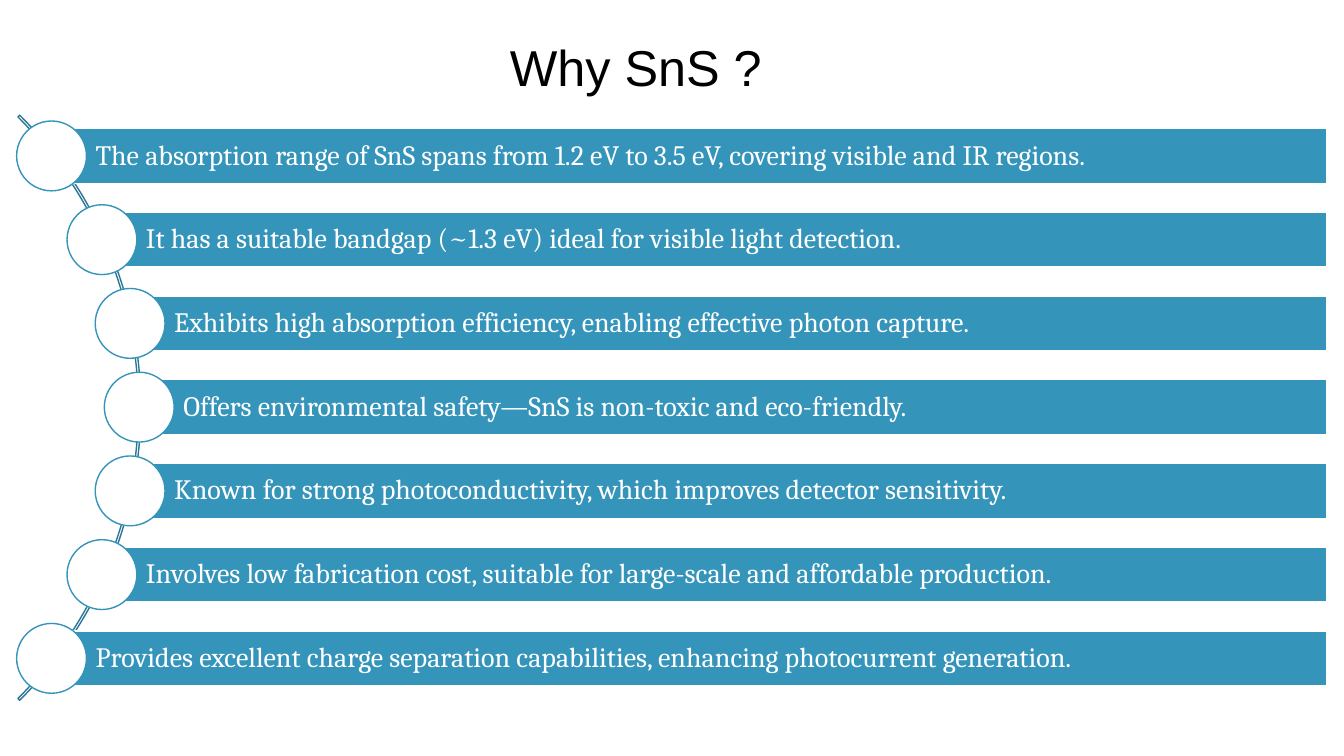
from pptx import Presentation
from pptx.dml.color import RGBColor
from pptx.enum.shapes import MSO_SHAPE
from pptx.enum.text import MSO_ANCHOR, PP_ALIGN
from pptx.util import Cm, Pt

ARC, BAR, CIRCLE = MSO_SHAPE.BLOCK_ARC, MSO_SHAPE.RECTANGLE, MSO_SHAPE.OVAL
LEFT, CENTER, MIDDLE = PP_ALIGN.LEFT, PP_ALIGN.CENTER, MSO_ANCHOR.MIDDLE

WHITE, BLUE, DARK_BLUE, BLACK = "FFFFFF", "3494BA", "2A7795", "000000"

# Bar left edge in cm, and the reason written on the bar
REASONS = [
    (1.3, "The absorption range of SnS spans from 1.2 eV to 3.5 eV, covering visible and IR regions."),
    (2.57, "It has a suitable bandgap (~1.3 eV) ideal for visible light detection."),
    (3.28, "Exhibits high absorption efficiency, enabling effective photon capture."),
    (3.51, "Offers environmental safety—SnS is non-toxic and eco-friendly."),
    (3.28, "Known for strong photoconductivity, which improves detector sensitivity."),
    (2.57, "Involves low fabrication cost, suitable for large-scale and affordable production."),
    (1.3, "Provides excellent charge separation capabilities, enhancing photocurrent generation."),
]
FIRST_CENTER, PITCH = 3.93, 2.11
BAR_RIGHT, BAR_HEIGHT, DIAMETER = 33.44, 1.38, 1.76


def add_outlined(kind, left, top, width, height, line, fill=None):
    """Add a preset shape with a thin line; without a fill colour it stays hollow."""
    shape = slide.shapes.add_shape(kind, Cm(left), Cm(top), Cm(width), Cm(height))
    shape.shadow.inherit = False
    if fill:
        shape.fill.solid()
        shape.fill.fore_color.rgb = RGBColor.from_string(fill)
    else:
        shape.fill.background()
    shape.line.color.rgb = RGBColor.from_string(line)
    shape.line.width = Pt(1)
    return shape


def write(frame, text, font, size, color, align):
    frame.word_wrap = True
    frame.text = text
    para = frame.paragraphs[0]
    para.alignment = align
    span = para.runs[0]
    span.font.name = font
    span.font.size = Pt(size)
    span.font.color.rgb = RGBColor.from_string(color)
    return para


deck = Presentation()
deck.slide_width, deck.slide_height = Cm(33.87), Cm(19.05)
slide = deck.slides.add_slide(deck.slide_layouts[6])

title = slide.shapes.add_textbox(Cm(7.06), Cm(0.79), Cm(17.93), Cm(1.8))
write(title.text_frame, "Why SnS ?", "Arial", 36, BLACK, CENTER)

# The arc runs from 315 to 45 degrees, behind the circles
arc = add_outlined(ARC, -17.3, -0.15, 20.85, 20.85, DARK_BLUE)
for index, value in enumerate((189, 27, 0.003)):
    arc.adjustments[index] = value

for row, (bar_left, reason) in enumerate(REASONS):
    center = FIRST_CENTER + row * PITCH
    bar = add_outlined(BAR, bar_left, center - BAR_HEIGHT / 2,
                       BAR_RIGHT - bar_left, BAR_HEIGHT, WHITE, BLUE)
    frame = bar.text_frame
    frame.vertical_anchor = MIDDLE
    frame.margin_left = Cm(1.11)
    frame.margin_top = frame.margin_right = frame.margin_bottom = Cm(0.15)
    write(frame, reason, "Cambria", 20, WHITE, LEFT).line_spacing = 0.9
    add_outlined(CIRCLE, bar_left - DIAMETER / 2, center - DIAMETER / 2,
                 DIAMETER, DIAMETER, BLUE, WHITE)

deck.save("out.pptx")
